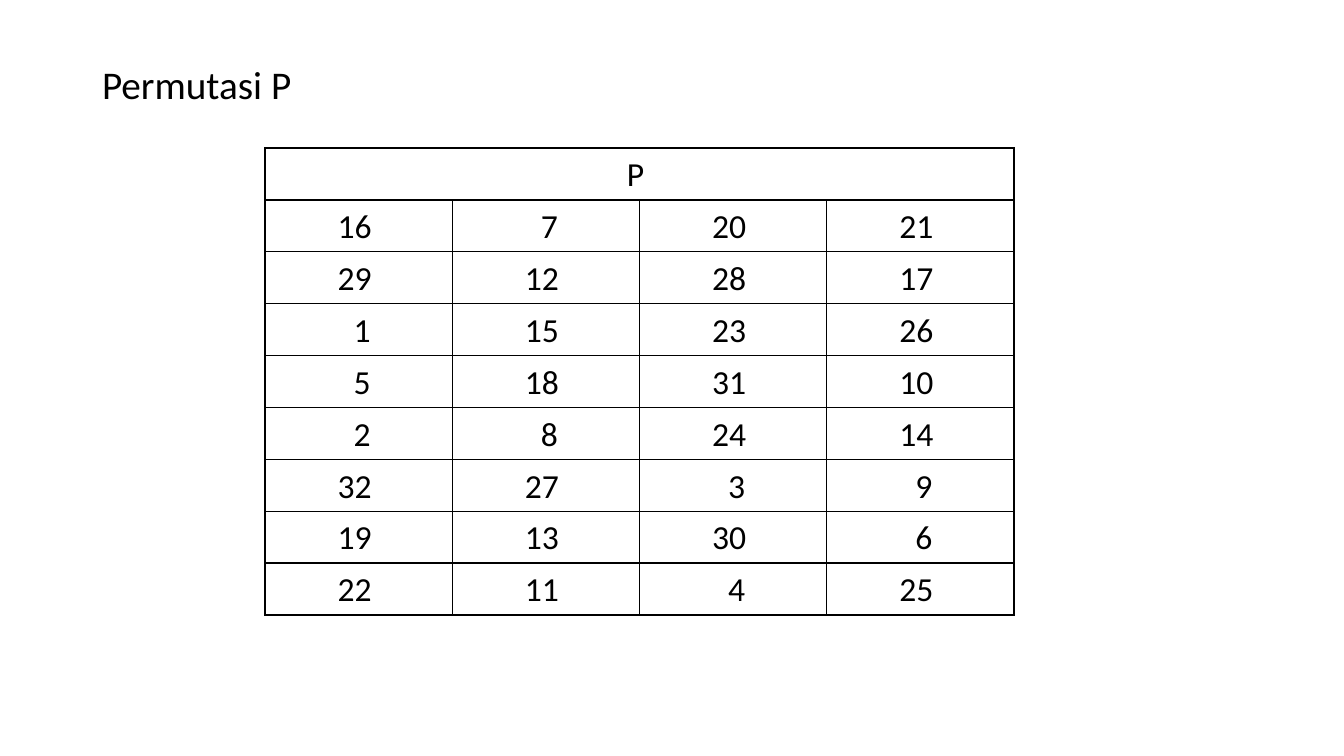
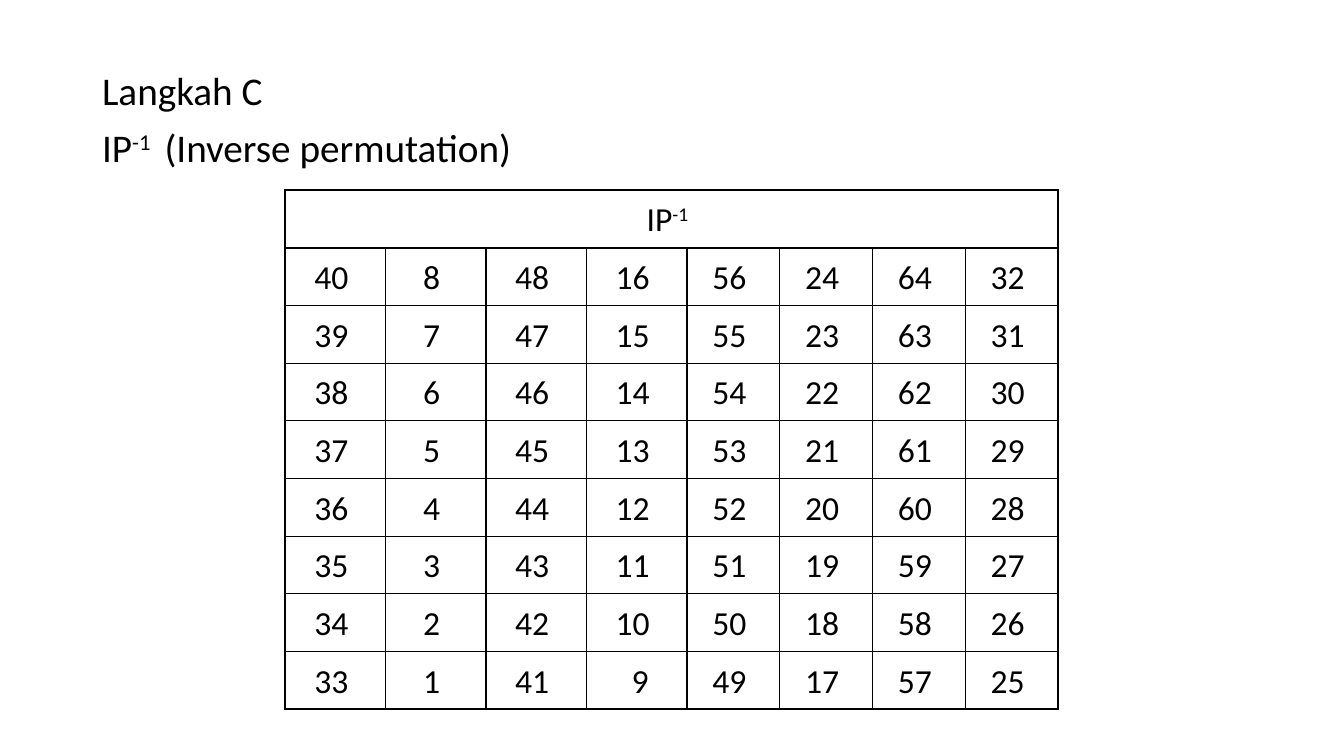
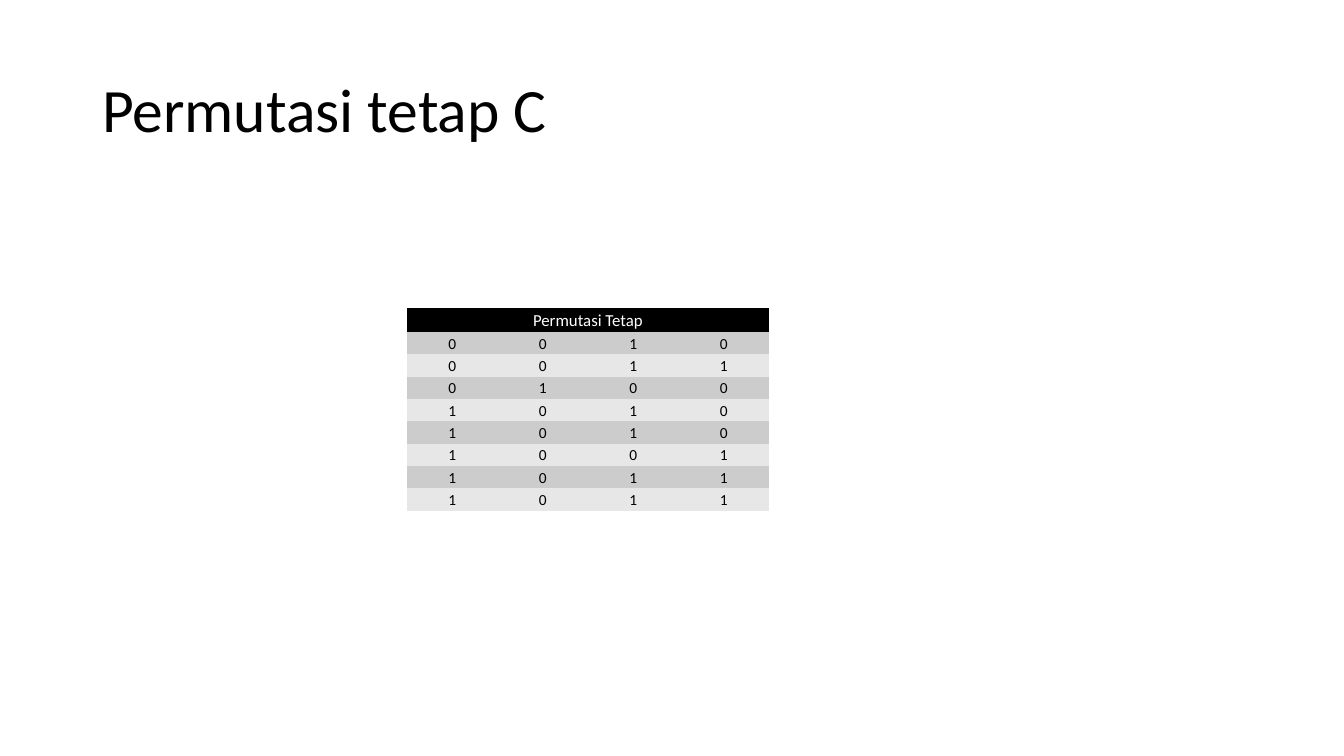
from lxml.etree import SubElement
from pptx import Presentation
from pptx.dml.color import RGBColor
from pptx.enum.text import MSO_ANCHOR, MSO_AUTO_SIZE, PP_ALIGN
from pptx.oxml.ns import qn
from pptx.util import Pt

EMU_PER_PX = 914400 / 100.8
FONT = "Calibri"
COLORS = {
    "ink": "000000",
    "paper": "FFFFFF",
    "band_dark": "CCCCCC",
    "band_light": "E7E7E7",
}
NO_STYLE = "{2D5ABB26-0587-4C30-8999-92F81FD0307C}"
CELL_INSET = 1
DIGIT_INDENT = 15  # aligns a short number with the longer ones in its column

P_ROWS = [
    [16, 7, 20, 21],
    [29, 12, 28, 17],
    [1, 15, 23, 26],
    [5, 18, 31, 10],
    [2, 8, 24, 14],
    [32, 27, 3, 9],
    [19, 13, 30, 6],
    [22, 11, 4, 25],
]
INVERSE_ROWS = [
    [first - step for first in (40, 8, 48, 16, 56, 24, 64, 32)] for step in range(8)
]
FIXED_ROWS = [
    [0, 0, 1, 0],
    [0, 0, 1, 1],
    [0, 1, 0, 0],
    [1, 0, 1, 0],
    [1, 0, 1, 0],
    [1, 0, 0, 1],
    [1, 0, 1, 1],
    [1, 0, 1, 1],
]


def px(length):
    return round(length * EMU_PER_PX)


def rgb(name):
    return RGBColor.from_string(COLORS[name])


def add_runs(paragraph, parts, size, color="ink"):
    """Add the parts in turn; a part starting with ^ is raised."""
    for part in parts:
        run = paragraph.add_run()
        run.text = part.removeprefix("^")
        run.font.name = FONT
        run.font.size = Pt(size)
        run.font.color.rgb = rgb(color)
        if part.startswith("^"):
            run.font._element.set("baseline", "30000")


def place_title(slide, box, lines, size=28, anchor=MSO_ANCHOR.TOP):
    title = slide.shapes.title
    title.left, title.top, title.width, title.height = map(px, box)
    frame = title.text_frame
    frame.word_wrap = True
    frame.auto_size = MSO_AUTO_SIZE.NONE
    frame.vertical_anchor = anchor
    for number, parts in enumerate(lines):
        line = frame.add_paragraph() if number else frame.paragraphs[0]
        line.alignment = PP_ALIGN.LEFT
        line.line_spacing = 0.9
        line.space_before = Pt(10 if number else 0)
        add_runs(line, parts, size)


def draw_borders(cell):
    properties = cell._tc.get_or_add_tcPr()
    for side in ("a:lnL", "a:lnR", "a:lnT", "a:lnB"):
        border = SubElement(properties, qn(side), w=str(Pt(1)))
        fill = SubElement(border, qn("a:solidFill"))
        SubElement(fill, qn("a:srgbClr"), val=COLORS["ink"])


def fill_cell(cell, parts, size, color="ink", indent=0, nudge=0):
    cell.vertical_anchor = MSO_ANCHOR.MIDDLE
    cell.margin_top = cell.margin_bottom = px(CELL_INSET)
    cell.margin_left = px(CELL_INSET + indent)
    cell.margin_right = px(CELL_INSET + nudge)
    paragraph = cell.text_frame.paragraphs[0]
    paragraph.alignment = PP_ALIGN.CENTER
    paragraph.line_spacing = 1.07
    add_runs(paragraph, parts, size, color)


def place_table(slide, box, heading, numbers, weights, heading_height,
                sizes=(24, 24), banded=False):
    left, top, width, height = box
    table = slide.shapes.add_table(
        len(numbers) + 1, len(weights), *map(px, box)).table
    table._tbl.tblPr.find(qn("a:tableStyleId")).text = NO_STYLE
    table.first_row = table.horz_banding = False

    # Grid
    for column, weight in zip(table.columns, weights):
        column.width = px(width * weight / sum(weights))
    for row in table.rows:
        row.height = px((height - heading_height) / len(numbers))
    table.rows[0].height = px(heading_height)

    # Lines or bands
    for row_number, row in enumerate(table.rows):
        for cell in row.cells:
            if banded:
                band = "band_dark" if row_number % 2 else "band_light"
                cell.fill.solid()
                cell.fill.fore_color.rgb = rgb(band if row_number else "ink")
            else:
                draw_borders(cell)
                cell.fill.background()

    # Heading
    nudge = 0 if banded else 8
    heading_cell = table.cell(0, 0)
    heading_cell.merge(table.cell(0, len(weights) - 1))
    fill_cell(heading_cell, heading, sizes[0],
              "paper" if banded else "ink", nudge=nudge)

    # Numbers
    for column_number, column in enumerate(zip(*numbers)):
        digits = [str(number) for number in column]
        # A column with mostly single digits stays centred
        widest = max(map(len, digits))
        for row_number, number in enumerate(digits, 1):
            indent = DIGIT_INDENT * (widest - len(number))
            fill_cell(table.cell(row_number, column_number), [number],
                      sizes[1], indent=indent, nudge=nudge)


def build_permutation(slide):
    place_title(slide, (92, 61, 1159, 619), [["Permutasi P"]])
    place_table(slide, (265, 148, 749, 467), ["P"], P_ROWS, [1] * 4, 52)


def build_inverse(slide):
    place_title(slide, (92, 67, 1159, 615),
                [["Langkah C"], ["IP", "^-1 ", " (Inverse permutation)"]])
    place_table(slide, (285, 190, 773, 519), ["IP", "^-1"], INVERSE_ROWS,
                [13] * 4 + [12] * 4, 58)


def build_fixed(slide):
    place_title(slide, (92, 40, 1159, 146), [["Permutasi tetap C"]],
                size=44, anchor=MSO_ANCHOR.MIDDLE)
    place_table(slide, (407, 308, 362, 203), ["Permutasi Tetap"], FIXED_ROWS,
                [1] * 4, 24, sizes=(12, 11), banded=True)


def main():
    deck = Presentation()
    deck.slide_width, deck.slide_height = px(1344), px(756)
    title_only = deck.slide_layouts[5]
    for build in (build_permutation, build_inverse, build_fixed):
        build(deck.slides.add_slide(title_only))
    deck.save("out.pptx")


if __name__ == "__main__":
    main()
